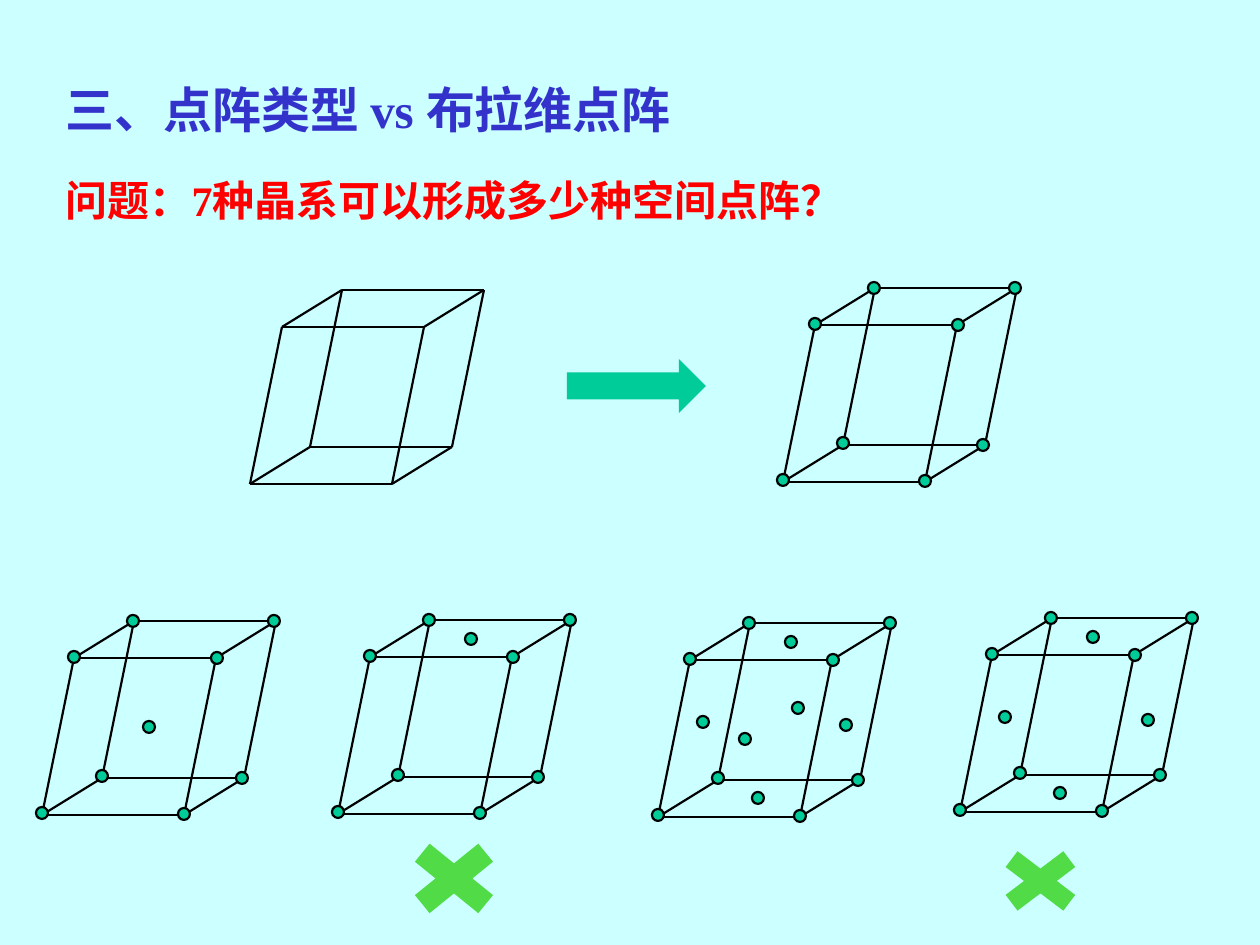
from dataclasses import dataclass

from pptx import Presentation
from pptx.dml.color import RGBColor as RGB
from pptx.enum.shapes import MSO_CONNECTOR as LINK, MSO_SHAPE as SHAPE
from pptx.enum.text import MSO_ANCHOR as ANCHOR, MSO_AUTO_SIZE as FIT, PP_ALIGN as ALIGN
from pptx.oxml.ns import qn
from pptx.util import Emu, Pt

SCALE = 914400 // 126


@dataclass(frozen=True)
class Theme:
    back: RGB = RGB(0xCC, 0xFF, 0xFF)
    title: RGB = RGB(0x33, 0x33, 0xCC)
    ask: RGB = RGB(0xFF, 0x00, 0x00)
    edge: RGB = RGB(0x00, 0x00, 0x00)
    atom: RGB = RGB(0x00, 0xCC, 0x99)
    cross: RGB = RGB(0x51, 0xDB, 0x47)
    font: str = "Times New Roman"
    head: Pt = Pt(28)
    text: Pt = Pt(24)
    line: Pt = Pt(1.25)


THEME = Theme()

# Offsets from the front bottom left corner of a cell.
# Names: front/back, low/high, left/right.
CORNERS = {
    "fll": (0, 0), "flr": (142, 0), "fhl": (32, -157), "fhr": (174, -157),
    "bll": (60, -37), "blr": (202, -37), "bhl": (92, -194), "bhr": (234, -194),
}
EDGES = [(a, b) for a in CORNERS for b in CORNERS
         if a < b and sum(m != n for m, n in zip(a, b)) == 1]
# Lattice points sit slightly inside some of the corners.
ATOMS = [(0, -2), (142, -1), (32, -158), (175, -157),
         (60, -39), (200, -37), (91, -194), (232, -194)]
BODY = [(107, -88)]
TOP = [(133, -175)]
SIDES = TOP + [(100, -19), (188, -92), (45, -95)]
FACES = SIDES + [(87, -78), (140, -109)]
RADIUS = 6

CELLS = [
    ((250, 484), []),
    ((783, 482), ATOMS),
    ((42, 815), ATOMS + BODY),
    ((338, 814), ATOMS + TOP),
    ((658, 817), ATOMS + FACES),
    ((960, 812), ATOMS + SIDES),
]


def px(*nums):
    return [Emu(n * SCALE) for n in nums]


def set_text(holder, box, words, size, color, anchor):
    holder.left, holder.top, holder.width, holder.height = px(*box)
    frame = holder.text_frame
    frame.word_wrap = True
    frame.auto_size = FIT.NONE
    frame.vertical_anchor = anchor
    frame.text = words
    para = frame.paragraphs[0]
    props = para._p.get_or_add_pPr()
    props.set("marL", "0")
    props.set("indent", "0")
    props.append(props.makeelement(qn("a:buNone"), {}))
    para.alignment = ALIGN.LEFT
    para.space_before = Pt(0)
    font = para.font
    font.name, font.size, font.bold = THEME.font, size, True
    font.color.rgb = color


def add_solid(shapes, kind, box, color):
    shape = shapes.add_shape(kind, *px(*box))
    shape.shadow.inherit = False
    shape.fill.solid()
    shape.fill.fore_color.rgb = color
    shape.line.fill.background()
    return shape


def add_edge(shapes, start, end):
    edge = shapes.add_connector(LINK.STRAIGHT, *px(*start, *end))
    edge.line.color.rgb = THEME.edge
    edge.line.width = THEME.line
    props = edge._element.spPr
    props.append(props.makeelement(qn("a:effectLst"), {}))


def add_atom(shapes, x, y):
    box = (x - RADIUS, y - RADIUS, 2 * RADIUS, 2 * RADIUS)
    atom = add_solid(shapes, SHAPE.OVAL, box, THEME.atom)
    atom.line.color.rgb = THEME.edge
    atom.line.width = THEME.line


def add_cell(slide, base, atoms):
    """Draw a skewed unit cell with its lattice points as one group."""
    shapes = slide.shapes.add_group_shape().shapes

    def place(spot):
        return base[0] + spot[0], base[1] + spot[1]

    for a, b in EDGES:
        add_edge(shapes, place(CORNERS[a]), place(CORNERS[b]))
    for spot in atoms:
        add_atom(shapes, *place(spot))


def main():
    deck = Presentation()
    deck.slide_width, deck.slide_height = px(1260, 945)
    slide = deck.slides.add_slide(deck.slide_layouts[1])
    slide.background.fill.solid()
    slide.background.fill.fore_color.rgb = THEME.back

    set_text(slide.shapes.title, (53, 73, 1155, 94),
             "三、点阵类型 vs 布拉维点阵", THEME.head, THEME.title, ANCHOR.TOP)
    set_text(slide.placeholders[1], (53, 168, 963, 63),
             "问题：7种晶系可以形成多少种空间点阵？", THEME.text, THEME.ask, ANCHOR.TOP)

    for base, atoms in CELLS:
        add_cell(slide, base, atoms)
    add_solid(slide.shapes, SHAPE.RIGHT_ARROW, (567, 359, 139, 54), THEME.atom)
    for box in ((393, 829, 122, 99), (985, 839, 111, 84)):
        add_solid(slide.shapes, SHAPE.MATH_MULTIPLY, box, THEME.cross)

    deck.save("out.pptx")


if __name__ == "__main__":
    main()
